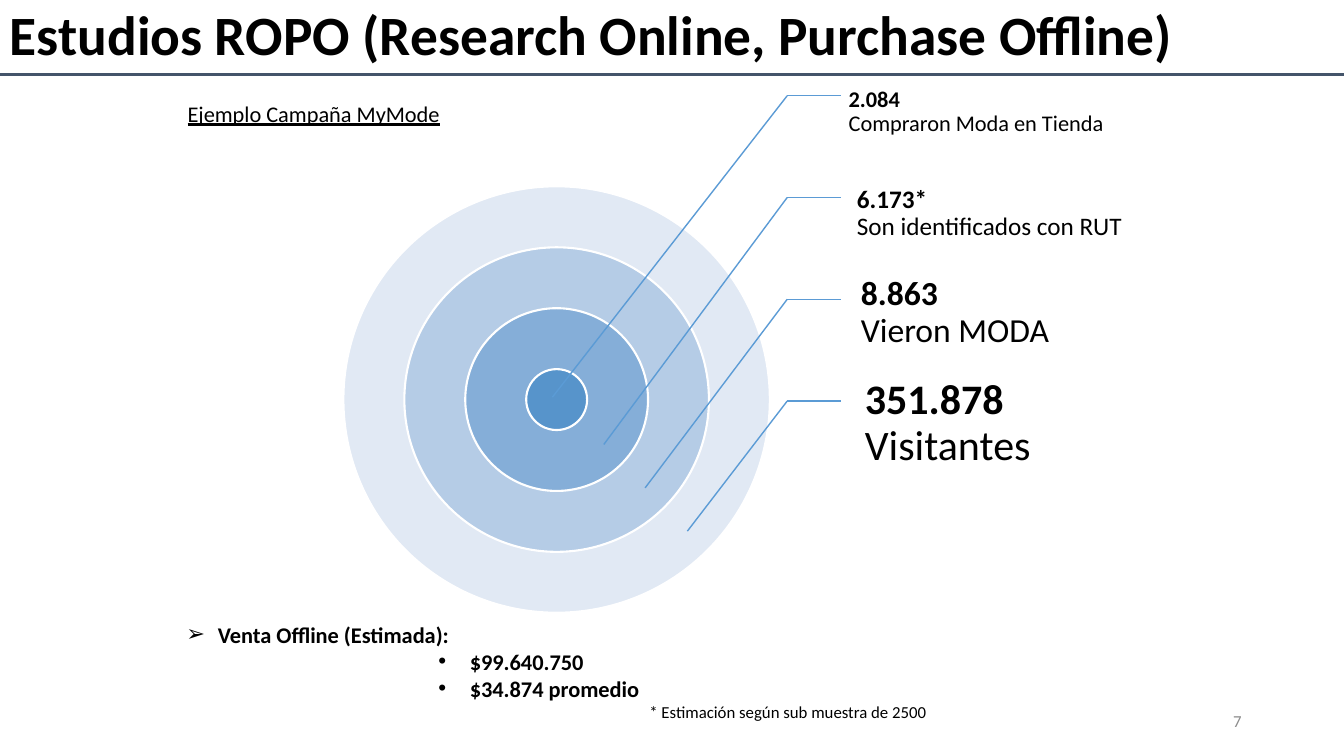
from lxml import etree
from pptx import Presentation
from pptx.dml.color import RGBColor
from pptx.enum.shapes import MSO_CONNECTOR, MSO_SHAPE
from pptx.enum.text import MSO_ANCHOR, PP_ALIGN
from pptx.oxml.ns import qn
from pptx.util import Pt

STRAIGHT = MSO_CONNECTOR.STRAIGHT
OVAL = MSO_SHAPE.OVAL
TOP, MIDDLE = MSO_ANCHOR.TOP, MSO_ANCHOR.MIDDLE
LEFT, RIGHT = PP_ALIGN.LEFT, PP_ALIGN.RIGHT

BLACK = RGBColor(0x00, 0x00, 0x00)
WHITE = RGBColor(0xFF, 0xFF, 0xFF)
GRAY = RGBColor(0x8C, 0x8C, 0x8C)
SLATE = RGBColor(0x44, 0x54, 0x6A)
LEADER_BLUE = RGBColor(0x5B, 0x9B, 0xD5)

FONT = "Calibri"
SLIDE_W, SLIDE_H = 960, 540

# Outermost ring first: colour and opacity in percent
RINGS = [
    (RGBColor(0xC5, 0xD5, 0xEB), 50),
    (RGBColor(0xA0, 0xBE, 0xE0), 67),
    (RGBColor(0x7C, 0xA8, 0xD6), 83),
    (RGBColor(0x57, 0x94, 0xCB), 100),
]

# Figure, caption, size, text box (left, top, width), left inset, leader tip
CALLOUTS = [
    ("2.084", "Compraron Moda en Tienda", 16, (597.6, 43.9, 207), 8.6, (394.6, 283.7)),
    ("6.173*", "Son identificados con RUT", 18, (602, 116.6, 207), 10, (431.3, 317.5)),
    ("8.863", "Vieron MODA", 24, (601.2, 187.2, 229), 13.7, (460.8, 348.5)),
    ("351.878", "Visitantes", 30, (601.2, 266.4, 152), 16.6, (491, 379.4)),
]


def add_paragraph(tf, text, size=16, color=BLACK, bold=False, underline=False,
                  align=LEFT, spacing=None, bullet=None, indent=0):
    """Append one paragraph; text may be a list of (text, bold) lines."""
    p = tf.paragraphs[0]
    if p.runs:
        p = tf.add_paragraph()
    p.alignment = align
    if spacing:
        p.line_spacing = spacing
    lines = [(text, bold)] if isinstance(text, str) else text
    for i, (line, line_bold) in enumerate(lines):
        if i:
            p.add_line_break()
        r = p.add_run()
        r.text = line
        r.font.name, r.font.size = FONT, Pt(size)
        r.font.bold, r.font.underline = line_bold, underline
        r.font.color.rgb = color
    if bullet:
        pPr = p._p.get_or_add_pPr()
        pPr.set("marL", str(Pt(indent)))
        pPr.set("indent", str(Pt(-22.5)))
        etree.SubElement(pPr, qn("a:buFont")).set("typeface", "Arial")
        etree.SubElement(pPr, qn("a:buChar")).set("char", bullet)
    return p


def add_box(slide, x, y, w, h, anchor=TOP, insets=(7.2, 3.6, 7.2, 3.6)):
    """Add an empty wrapping text box and return its text frame."""
    tf = slide.shapes.add_textbox(Pt(x), Pt(y), Pt(w), Pt(h)).text_frame
    tf.word_wrap = True
    tf.vertical_anchor = anchor
    (tf.margin_left, tf.margin_top,
     tf.margin_right, tf.margin_bottom) = map(Pt, insets)
    return tf


def add_line(slide, x1, y1, x2, y2, color=LEADER_BLUE, width=1):
    line = slide.shapes.add_connector(STRAIGHT, Pt(x1), Pt(y1), Pt(x2), Pt(y2))
    line.line.color.rgb = color
    line.line.width = Pt(width)
    etree.SubElement(line._element.spPr, qn("a:effectLst"))


def add_header(slide, x, y, w, h):
    add_line(slide, x, y + h, x + w, y + h, SLATE, 2.25)
    tf = add_box(slide, x, y, w, h, MIDDLE)
    add_paragraph(tf, "Estudios ROPO (Research Online, Purchase Offline)",
                  size=39.6, bold=True, spacing=0.9)


def add_target(slide, x, y, size):
    """Concentric rings whose radii run 7 : 5 : 3 : 1."""
    step = size / 14
    for i, (color, opacity) in enumerate(RINGS):
        offset, diameter = 2 * i * step, size - 4 * i * step
        sp = slide.shapes.add_shape(OVAL, Pt(x + offset), Pt(y + offset),
                                    Pt(diameter), Pt(diameter))
        sp.shadow.inherit = False
        sp.fill.solid()
        sp.fill.fore_color.rgb = color
        sp.line.color.rgb = WHITE
        sp.line.width = Pt(1.5)
        if opacity < 100:
            clr = sp._element.spPr.find(qn("a:solidFill"))[0]
            etree.SubElement(clr, qn("a:alpha")).set("val", str(opacity * 1000))


def add_callouts(slide, x, y, arm, pitch):
    """Leaders bend at x, one every pitch below y."""
    for i, (figure, caption, size, box, inset, tip) in enumerate(CALLOUTS):
        bend_y = y + i * pitch
        tf = add_box(slide, *box, pitch, MIDDLE, (inset, 2, 2, 2))
        add_paragraph(tf, [(figure, True), (caption, False)], size=size, spacing=0.9)
        add_line(slide, x, bend_y, x + arm, bend_y)
        add_line(slide, x, bend_y, *tip)


def add_sales(slide, x, y, w, h):
    tf = add_box(slide, x, y, w, h)
    add_paragraph(tf, "Venta Offline (Estimada):", bold=True, bullet="➢", indent=22.5)
    for amount in ("$99.640.750", "$34.874 promedio"):
        p = add_paragraph(tf, amount, bold=True, bullet="•", indent=202.5)
        p.level = 5
    add_paragraph(tf, "* Estimación según sub muestra de 2500", size=12, align=RIGHT)


def main():
    prs = Presentation()
    prs.slide_width, prs.slide_height = Pt(SLIDE_W), Pt(SLIDE_H)
    slide = prs.slides.add_slide(prs.slide_layouts[6])
    add_header(slide, 0, 0, SLIDE_W, 53.3)
    add_target(slide, 245.3, 133.1, 304.6)
    add_callouts(slide, 562.3, 68.4, 38.2, 72.7)
    add_sales(slide, 126, 440, 543, 80)
    tf = add_box(slide, 134, 71.3, 221, 34, insets=(0, 0, 0, 0))
    add_paragraph(tf, "Ejemplo Campaña MyMode", underline=True)
    tf = add_box(slide, 678, 500.4, 216, 28.8, MIDDLE)
    add_paragraph(tf, "7", size=12, color=GRAY, align=RIGHT)
    prs.save("out.pptx")


if __name__ == "__main__":
    main()
